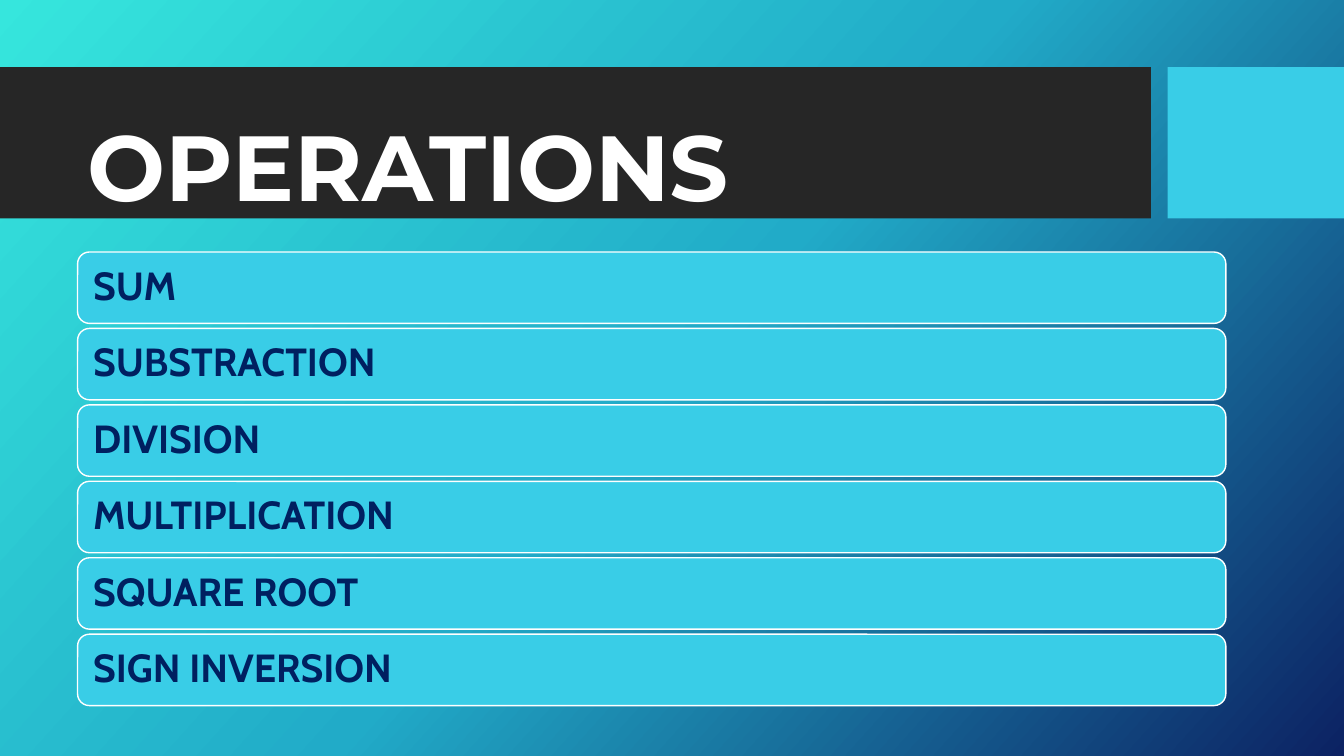
from copy import deepcopy

from pptx import Presentation
from pptx.dml.color import RGBColor
from pptx.enum.shapes import MSO_SHAPE as SHAPE
from pptx.enum.text import MSO_ANCHOR as ANCHOR, PP_ALIGN as ALIGN
from pptx.util import Inches, Pt

WHITE = RGBColor(0xFF, 0xFF, 0xFF)
CHARCOAL = RGBColor(0x26, 0x26, 0x26)
SKY = RGBColor(0x39, 0xCD, 0xE7)
NAVY = RGBColor(0x00, 0x20, 0x60)
TURQUOISE = RGBColor(0x36, 0xE6, 0xDD)
TEAL = RGBColor(0x21, 0xAB, 0xC8)
MIDNIGHT = RGBColor(0x0C, 0x22, 0x63)

COLS, ROWS = 160, 90
OPERATIONS = ["SUM", "SUBSTRACTION", "DIVISION", "MULTIPLICATION",
              "SQUARE ROOT", "SIGN INVERSION"]
LEFT, FIRST_ROW, PITCH = 9.24, 30, 9.1


def write(sp, text, font, size, color, inset=0.1):
    tf = sp.text_frame
    tf.word_wrap = True
    tf.vertical_anchor = ANCHOR.MIDDLE
    tf.margin_left = tf.margin_right = Inches(inset)
    tf.margin_top = tf.margin_bottom = Inches(0.05)
    p = tf.paragraphs[0]
    p.alignment = ALIGN.LEFT
    p.line_spacing = 0.9
    r = p.add_run()
    r.text = text
    r.font.name, r.font.size, r.font.bold = font, Pt(size), True
    r.font.color.rgb = color


class Deck:
    """Builds a slide on a grid of 160 columns by 90 rows."""

    def __init__(self):
        self.prs = Presentation()
        self.prs.slide_width = Inches(13.33)
        self.prs.slide_height = Inches(7.5)
        self.s = self.prs.slides.add_slide(self.prs.slide_layouts[6])

    def box(self, col, row, width, height):
        cw, rh = self.prs.slide_width / COLS, self.prs.slide_height / ROWS
        return [round(v) for v in (col * cw, row * rh, width * cw, height * rh)]

    def background(self, colors, angle):
        fill = self.s.background.fill
        fill.gradient()
        fill.gradient_angle = 360 - angle
        first = self.s.element.xpath(".//a:gs")[0]
        for _ in colors[2:]:
            first.addnext(deepcopy(first))
        for i, (stop, color) in enumerate(zip(fill.gradient_stops, colors)):
            stop.position = i / (len(colors) - 1)
            stop.color.rgb = color

    def shape(self, kind, place, fill, line=None):
        sp = self.s.shapes.add_shape(kind, *self.box(*place))
        sp.shadow.inherit = False
        sp.fill.solid()
        sp.fill.fore_color.rgb = fill
        if line is None:
            sp.line.fill.background()
        else:
            sp.line.color.rgb = line
            sp.line.width = Pt(1)
        return sp

    def title(self, text, place):
        sp = self.s.shapes.add_textbox(*self.box(*place))
        write(sp, text, "Montserrat", 66, WHITE)

    def bar(self, text, place):
        sp = self.shape(SHAPE.ROUNDED_RECTANGLE, place, SKY, WHITE)
        write(sp, text, "Cabin", 28, NAVY, inset=0.12)


def main():
    deck = Deck()
    deck.background([TURQUOISE, TEAL, MIDNIGHT], 42)
    deck.shape(SHAPE.RECTANGLE, (0, 8, 137, 18), CHARCOAL)
    deck.shape(SHAPE.RECTANGLE, (139, 8, 21, 18), SKY)
    deck.title("OPERATIONS", (LEFT, 13.3, 126.1, 14.2))
    for i, name in enumerate(OPERATIONS):
        deck.bar(name, (LEFT, FIRST_ROW + i * PITCH, 136.7, 8.5))
    deck.prs.save("out.pptx")


if __name__ == "__main__":
    main()
